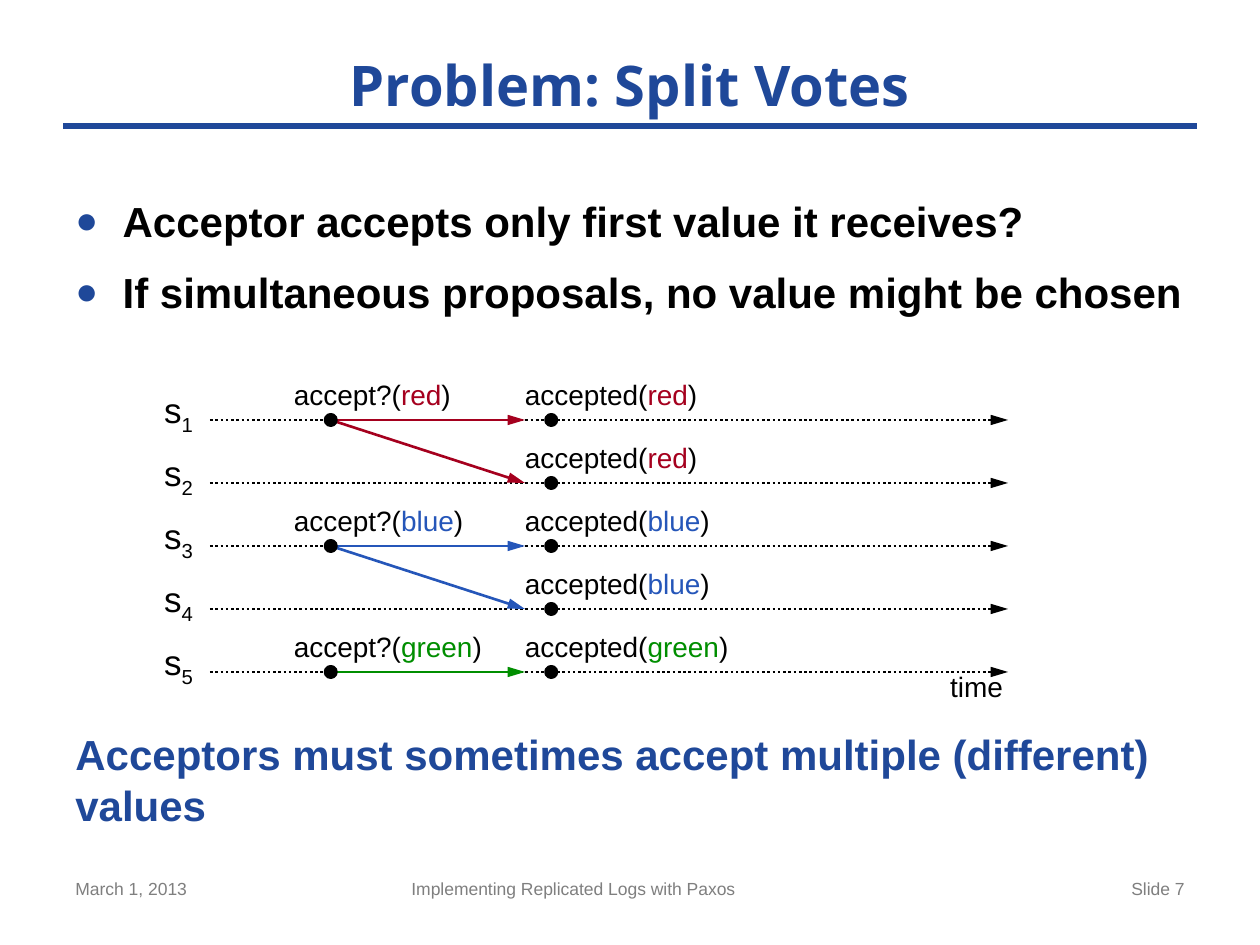
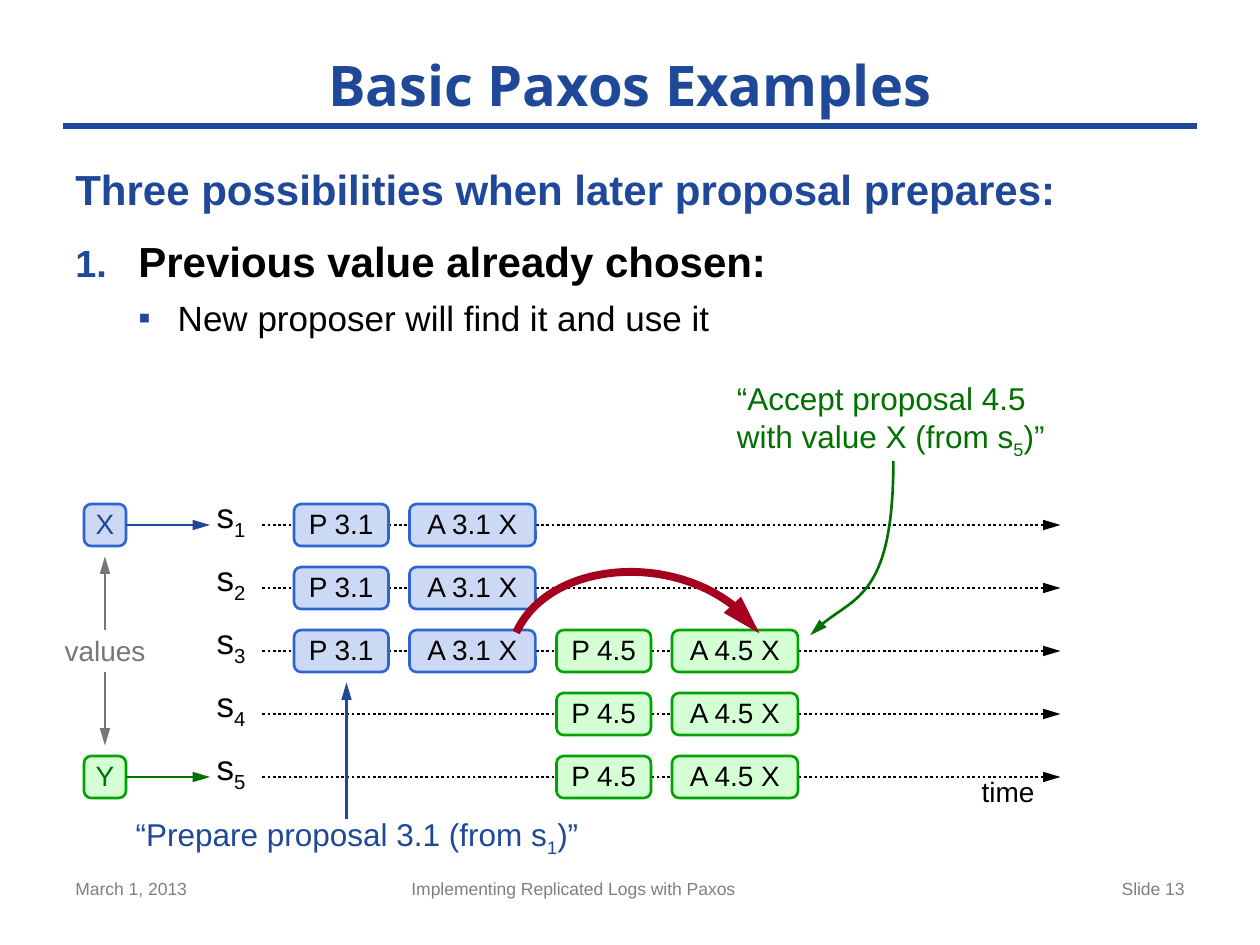
from dataclasses import dataclass
from typing import NamedTuple, Optional

import pptx
import pptx.dml.color
import pptx.enum.dml
import pptx.enum.shapes
import pptx.enum.text
import pptx.oxml.ns
import pptx.oxml.xmlchemy
import pptx.util
from lxml import etree

Pt = pptx.util.Pt
qn = pptx.oxml.ns.qn
SHAPE = pptx.enum.shapes.MSO_SHAPE
ALIGN = pptx.enum.text.PP_ALIGN
ANCHOR = pptx.enum.text.MSO_ANCHOR
SYS_DOT = pptx.enum.dml.MSO_LINE.ROUND_DOT


@dataclass(frozen=True)
class Theme:
    font: str = "Arial"
    title_font: str = "Open Sans"
    # colours
    navy: str = "1F4899"
    black: str = "000000"
    footer: str = "7F7F7F"
    gray: str = "777777"
    red: str = "A5001E"
    blue: str = "2556B9"
    green: str = "008E00"
    dark_green: str = "007000"
    # type sizes
    title_size: float = 32
    body_size: float = 24
    sub_size: float = 20
    quote_size: float = 18
    label_size: float = 16
    footer_size: float = 10
    # line widths
    thin: float = 1.5
    thick: float = 4.5


T = Theme()


class Run(NamedTuple):
    text: str
    color: str = T.black
    sub: bool = False


class Para(NamedTuple):
    """A body paragraph; bullet is a character, or "1." for numbering."""
    text: str
    color: str = T.black
    size: float = T.body_size
    bold: bool = True
    bullet: str = ""
    left: float = 0
    hang: float = 0
    before: float = 12
    bullet_pct: int = 90
    level: int = 0


class Look(NamedTuple):
    fill: str
    line: str


class Timeline(NamedTuple):
    x0: float
    x1: float
    top: float
    time_x: float
    gap: float = 36
    count: int = 5

    def y(self, server: int) -> float:
        return self.top + (server - 1) * self.gap


class Vote(NamedTuple):
    value: str
    color: str
    servers: tuple


class Message(NamedTuple):
    text: str
    x: float
    width: float
    look: Look
    servers: tuple


BLUE_BOX = Look("CCD9F4", "2E65D2")
GREEN_BOX = Look("D5FFD5", "00A400")


def rgb(color: str):
    return pptx.dml.color.RGBColor.from_string(color)


def style_run(r, size: float, color: str, bold: bool = False, font: str = T.font) -> None:
    r.font.name, r.font.size, r.font.bold = font, Pt(size), bold
    r.font.color.rgb = rgb(color)


def add_text(slide, x, y, w, h, runs, size=T.label_size, align=ALIGN.LEFT, inset=True):
    """Text box with one paragraph of runs; a run of "\\v" breaks the line."""
    sp = slide.shapes.add_textbox(Pt(x), Pt(y), Pt(w), Pt(h))
    tf = sp.text_frame
    tf.word_wrap = True
    if not inset:
        tf.margin_left = tf.margin_right = tf.margin_top = tf.margin_bottom = 0
    p = tf.paragraphs[0]
    p.alignment = align
    for run in runs:
        if run.text == "\v":
            p.add_line_break()
            continue
        r = p.add_run()
        r.text = run.text
        style_run(r, size, run.color)
        if run.sub:
            r.font._element.set("baseline", "-25000")


def add_bullet(p, para: Para) -> None:
    pPr = p._p.get_or_add_pPr()
    pPr.set("marL", str(Pt(para.left)))
    pPr.set("indent", str(Pt(-para.hang)))
    color = etree.SubElement(pPr, qn("a:buClr"))
    etree.SubElement(color, qn("a:srgbClr"), val=T.navy)
    etree.SubElement(pPr, qn("a:buSzPct"), val=str(para.bullet_pct * 1000))
    etree.SubElement(pPr, qn("a:buFont"), typeface=T.font)
    if para.bullet == "1.":
        etree.SubElement(pPr, qn("a:buAutoNum"), type="arabicPeriod")
    else:
        etree.SubElement(pPr, qn("a:buChar"), char=para.bullet)


def add_body(slide, y: float, h: float, paras) -> None:
    sp = slide.shapes.add_textbox(Pt(36), Pt(y), Pt(648), Pt(h))
    tf = sp.text_frame
    tf.word_wrap = True
    for i, para in enumerate(paras):
        p = tf.add_paragraph() if i else tf.paragraphs[0]
        p.text = para.text
        p.level = para.level
        p.space_before = Pt(para.before if i else 0)
        style_run(p.runs[0], para.size, para.color, para.bold)
        if para.bullet:
            add_bullet(p, para)


def add_arrowhead(line) -> None:
    etree.SubElement(line._get_or_add_ln(), qn("a:tailEnd"),
                     type="triangle", w="med", len="lg")


def add_line(slide, x0, y0, x1, y1, color, width=T.thin, dash=None, arrow=True) -> None:
    kind = pptx.enum.shapes.MSO_CONNECTOR.STRAIGHT
    sp = slide.shapes.add_connector(kind, Pt(x0), Pt(y0), Pt(x1), Pt(y1))
    sp.line.color.rgb = rgb(color)
    sp.line.width = Pt(width)
    if dash is not None:
        sp.line.dash_style = dash
    if arrow:
        add_arrowhead(sp.line)
    etree.SubElement(sp._element.spPr, qn("a:effectLst"))


def add_curve(slide, points, color: str, width: float) -> None:
    """Bezier arrow through start, two control points and end."""
    (x, y), *rest = points
    builder = slide.shapes.build_freeform(Pt(x), Pt(y))
    builder.add_line_segments([(Pt(a), Pt(b)) for a, b in rest], close=False)
    sp = builder.convert_to_shape()
    segments = list(sp._element.iter(qn("a:lnTo")))
    curve = etree.SubElement(segments[0].getparent(), qn("a:cubicBezTo"))
    for segment in segments:
        curve.append(segment[0])
        segment.getparent().remove(segment)
    sp.fill.background()
    sp.line.color.rgb = rgb(color)
    sp.line.width = Pt(width)
    add_arrowhead(sp.line)
    sp.shadow.inherit = False


def add_shape(slide, kind, x, y, w, h, look: Look, width: float):
    sp = slide.shapes.add_shape(kind, Pt(x), Pt(y), Pt(w), Pt(h))
    sp.shadow.inherit = False
    sp.fill.solid()
    sp.fill.fore_color.rgb = rgb(look.fill)
    sp.line.color.rgb = rgb(look.line)
    sp.line.width = Pt(width)
    return sp


def add_dot(slide, x: float, y: float) -> None:
    add_shape(slide, SHAPE.OVAL, x - 3, y - 3, 6, 6, Look(T.black, T.black), 2)


def add_box(slide, text, x, y, w, look: Look, color: str = T.black) -> None:
    """Rounded message box centred on height y."""
    sp = add_shape(slide, SHAPE.ROUNDED_RECTANGLE, x, y - 12, w, 24, look, T.thin)
    tf = sp.text_frame
    tf.margin_left = tf.margin_right = tf.margin_top = tf.margin_bottom = 0
    tf.vertical_anchor = ANCHOR.MIDDLE
    tf.text = text
    p = tf.paragraphs[0]
    p.alignment = ALIGN.CENTER
    p.line_spacing = Pt(17)
    style_run(p.runs[0], T.label_size, color)


def add_timeline(slide, tl: Timeline) -> None:
    for server in range(1, tl.count + 1):
        y = tl.y(server)
        add_line(slide, tl.x0, y, tl.x1, y, T.black, dash=SYS_DOT)
        add_text(slide, tl.x0 - 36, y - 18, 36, 24.5, [Run("s"), Run(str(server), sub=True)],
                 T.sub_size, ALIGN.CENTER, inset=False)
    add_text(slide, tl.time_x, tl.y(tl.count) - 1.5, 48, 19.5, [Run("time")],
             align=ALIGN.CENTER, inset=False)


def new_slide(prs, title: str, number: int):
    """Slide with title, rule and footers."""
    slide = prs.slides.add_slide(prs.slide_layouts[5])
    sp = slide.shapes.title
    sp.left, sp.top, sp.width, sp.height = Pt(36), Pt(24), Pt(648), Pt(48)
    tf = sp.text_frame
    tf.text = title
    tf.auto_size = pptx.enum.text.MSO_AUTO_SIZE.NONE
    tf.vertical_anchor = ANCHOR.MIDDLE
    p = tf.paragraphs[0]
    p.alignment = ALIGN.CENTER
    style_run(p.runs[0], T.title_size, T.navy, True, T.title_font)
    add_line(slide, 36, 72, 684, 72, T.navy, 4, arrow=False)
    for x, w, text, align in (
        (36, 168, "March 1, 2013", ALIGN.LEFT),
        (228, 270, "Implementing Replicated Logs with Paxos", ALIGN.LEFT),
        (516, 168, f"Slide {number}", ALIGN.RIGHT),
    ):
        add_text(slide, x, 498, w, 31, [Run(text, T.footer)], T.footer_size, align)
    return slide


def split_votes(prs) -> None:
    slide = new_slide(prs, "Problem: Split Votes", 7)
    add_body(slide, 108, 96, [
        Para(text, bullet="●", left=27, hang=27) for text in (
            "Acceptor accepts only first value it receives?",
            "If simultaneous proposals, no value might be chosen")])
    add_body(slide, 413, 66, [
        Para("Acceptors must sometimes accept multiple (different) values", T.navy)])
    tl = Timeline(120, 576, 240, 534)
    add_timeline(slide, tl)

    # Each proposer sends its value to one or two acceptors
    send_x, arrive_x, accepted_x = 189, 300, 315
    for vote in (Vote("red", T.red, (1, 2)), Vote("blue", T.blue, (3, 4)),
                 Vote("green", T.green, (5,))):
        value = [Run(vote.value, vote.color), Run(")")]
        start = tl.y(vote.servers[0])
        add_text(slide, 168, start - 24, 114, 19.5, [Run("accept?(")] + value, inset=False)
        for server in vote.servers:
            y = tl.y(server)
            add_line(slide, send_x, start, arrive_x, y, vote.color)
            add_text(slide, arrive_x, y - 24, 144, 19.5, [Run("accepted(")] + value, inset=False)
            add_dot(slide, accepted_x, y)
        add_dot(slide, send_x, start)


def paxos_examples(prs) -> None:
    slide = new_slide(prs, "Basic Paxos Examples", 13)
    add_body(slide, 90, 120, [
        Para("Three possibilities when later proposal prepares:", T.navy),
        Para("Previous value already chosen:", bullet="1.", left=36, hang=36),
        Para("New proposer will find it and use it", size=T.sub_size, bold=False, bullet="▪",
             left=58.5, hang=22.5, before=6, bullet_pct=100, level=1)])
    tl = Timeline(150, 606, 300, 552)
    add_timeline(slide, tl)

    # Prepare and accept messages
    for msg in (Message("P 3.1", 168, 54, BLUE_BOX, (1, 2, 3)),
                Message("A 3.1 X", 234, 72, BLUE_BOX, (1, 2, 3)),
                Message("P 4.5", 318, 54, GREEN_BOX, (3, 4, 5)),
                Message("A 4.5 X", 384, 72, GREEN_BOX, (3, 4, 5))):
        for server in msg.servers:
            add_box(slide, msg.text, msg.x, tl.y(server), msg.width, msg.look)

    # Proposed values
    for text, server, look, color in (("X", 1, BLUE_BOX, T.navy),
                                      ("Y", 5, GREEN_BOX, T.dark_green)):
        y = tl.y(server)
        add_box(slide, text, 48, y, 24, look, color)
        add_line(slide, 72, y, 120, y, color)
    middle = tl.y(3)
    add_text(slide, 30, middle - 10, 60, 19.5, [Run("values", T.gray)],
             align=ALIGN.CENTER, inset=False)
    for side in (-1, 1):
        add_line(slide, 60, middle + side * 12, 60, middle + side * 54, T.gray)

    # Explanations and their arrows
    add_text(slide, 60, 462, 288, 29,
             [Run("“Prepare proposal 3.1 (from s", T.navy), Run("1", T.navy, True),
              Run(")”", T.navy)], T.quote_size, ALIGN.CENTER)
    add_line(slide, 198, 468, 198, 390, T.navy)
    add_text(slide, 414, 213, 192, 51,
             [Run("“Accept proposal 4.5", T.dark_green), Run("\v"),
              Run("with value X (from s", T.dark_green), Run("5", T.dark_green, True),
              Run(")”", T.dark_green)], T.quote_size)
    add_curve(slide, [(295, 361.5), (313, 322), (400.5, 312.5), (434, 362)], T.red, T.thick)
    add_curve(slide, [(510.5, 263.5), (510.5, 340.5), (482.5, 342.5), (463, 363)],
              T.dark_green, T.thin)


prs = pptx.Presentation()
prs.slide_width, prs.slide_height = Pt(720), Pt(540)
split_votes(prs)
paxos_examples(prs)
prs.save("out.pptx")
